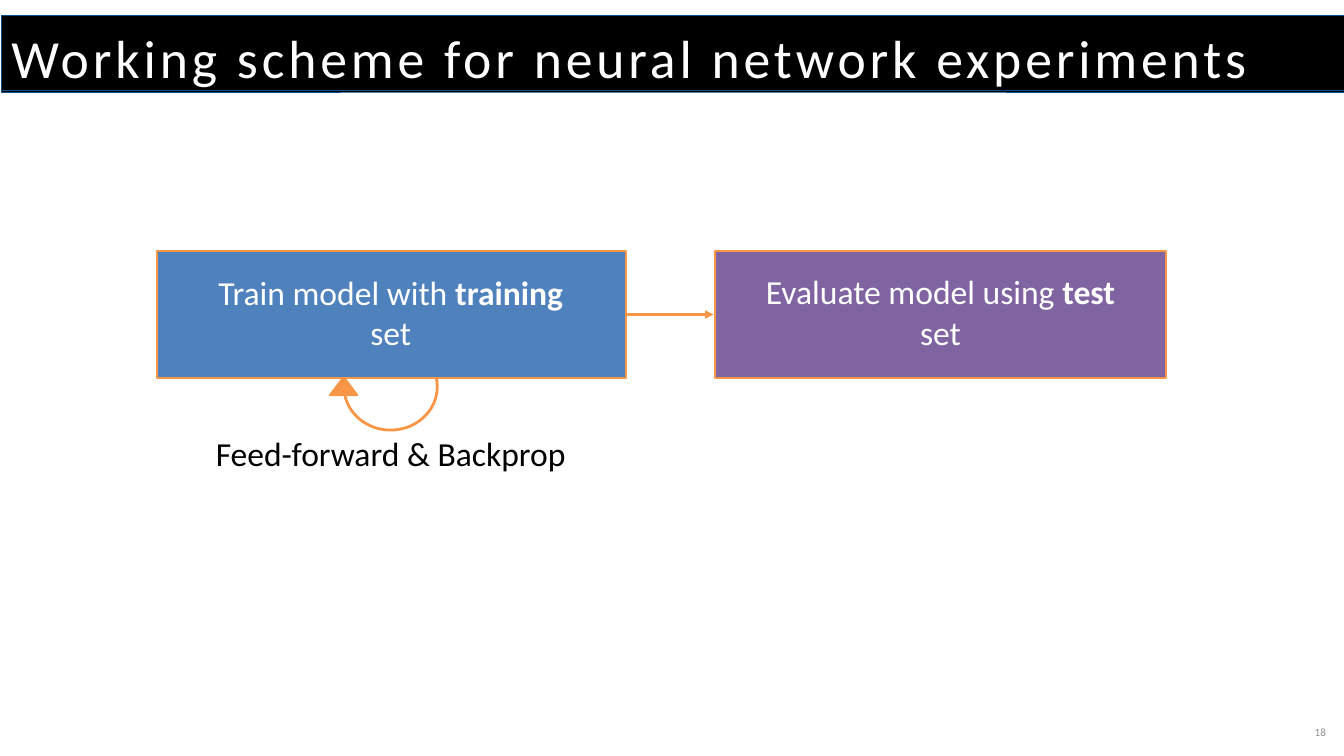
import pptx
import pptx.util
import pptx.dml.color
import pptx.enum.shapes
import pptx.enum.text
import pptx.oxml.ns
import lxml.etree

Cm = pptx.util.Cm
Pt = pptx.util.Pt
RGBColor = pptx.dml.color.RGBColor
MSO_SHAPE = pptx.enum.shapes.MSO_SHAPE
PP_ALIGN = pptx.enum.text.PP_ALIGN
MSO_ANCHOR = pptx.enum.text.MSO_ANCHOR
qn = pptx.oxml.ns.qn

WHITE = RGBColor(0xFF, 0xFF, 0xFF)
BLACK = RGBColor(0x00, 0x00, 0x00)
GRAY = RGBColor(0x8C, 0x8C, 0x8C)
ORANGE = RGBColor(0xF7, 0x96, 0x46)
BLUE = RGBColor(0x4F, 0x81, 0xBD)
PURPLE = RGBColor(0x80, 0x64, 0xA2)
NAVY = RGBColor(0x0B, 0x4F, 0x8E)

BOX_TOP, BOX_H = 9.5, 4.78
TRAIN_LEFT, TRAIN_W = 5.92, 17.73
EVAL_LEFT, EVAL_W = 27.03, 17.04
LABEL_W = 14.1

prs = pptx.Presentation()
prs.slide_width = Cm(50.8)
prs.slide_height = Cm(28.58)
s = prs.slides.add_slide(prs.slide_layouts[6])


def add_block(kind, box, fill, line, width):
    sp = s.shapes.add_shape(kind, *[Cm(v) for v in box])
    sp.shadow.inherit = False
    sp.fill.solid()
    sp.fill.fore_color.rgb = fill
    sp.line.color.rgb = line
    sp.line.width = Pt(width)


def add_label(box, runs, size, color, align, frame={}):
    tf = s.shapes.add_textbox(*[Cm(v) for v in box]).text_frame
    for key, value in {"word_wrap": True, **frame}.items():
        setattr(tf, key, value)
    p = tf.paragraphs[0]
    p.alignment = align
    for text, bold in runs:
        r = p.add_run()
        r.text = text
        font = {"name": "Calibri", "size": Pt(size), "bold": bold}
        for key, value in font.items():
            setattr(r.font, key, value)
        r.font.color.rgb = color
    return p


add_block(MSO_SHAPE.OVAL, (13, 12.98, 3.53, 3.28), WHITE, ORANGE, 3)
add_block(MSO_SHAPE.ISOSCELES_TRIANGLE, (12.47, 14.25, 1.04, 0.69), ORANGE, ORANGE, 2)
add_label((7.72, 16.26, LABEL_W, 1.8), [("Feed-forward & Backprop", False)],
          36, BLACK, PP_ALIGN.CENTER)
add_label((44.45, 27.15, 5.92, 1.02), [("18", False)], 12, GRAY, PP_ALIGN.RIGHT,
          {"vertical_anchor": MSO_ANCHOR.MIDDLE})

steps = [
    (TRAIN_LEFT, TRAIN_W, BLUE, 7.72, 10.16, "Train model with ", "training"),
    (EVAL_LEFT, EVAL_W, PURPLE, 28.5, 10.13, "Evaluate model using ", "test"),
]
for left, width, fill, text_left, text_top, lead, dataset in steps:
    add_block(MSO_SHAPE.RECTANGLE, (left, BOX_TOP, width, BOX_H), fill, ORANGE, 2.25)
    add_label((text_left, text_top, LABEL_W, 3.33),
              [(lead, False), (dataset, True), (" set", False)],
              36, WHITE, PP_ALIGN.CENTER)

arrow = s.shapes.add_connector(
    pptx.enum.shapes.MSO_CONNECTOR.STRAIGHT,
    Cm(TRAIN_LEFT + TRAIN_W), Cm(11.89), Cm(26.97), Cm(11.89))
arrow.line.color.rgb = ORANGE
arrow.line.width = Pt(3)
lxml.etree.SubElement(arrow.line._get_or_add_ln(), qn("a:tailEnd"), type="triangle")
lxml.etree.SubElement(arrow._element.spPr, qn("a:effectLst"))

for height in (2.9, 2.82):
    add_block(MSO_SHAPE.RECTANGLE, (0.05, 0.58, 50.8, height), BLACK, NAVY, 0.75)

margins = dict.fromkeys(("margin_left", "margin_top", "margin_right", "margin_bottom"), 0)
p = add_label((0.43, 0.74, 48.06, 5.08),
              [("Working scheme for neural network experiments", False)],
              57.5, WHITE, PP_ALIGN.LEFT, margins)
p.line_spacing = Pt(74.8)
p.runs[0]._r.get_or_add_rPr().set("spc", "420")

prs.save("out.pptx")
